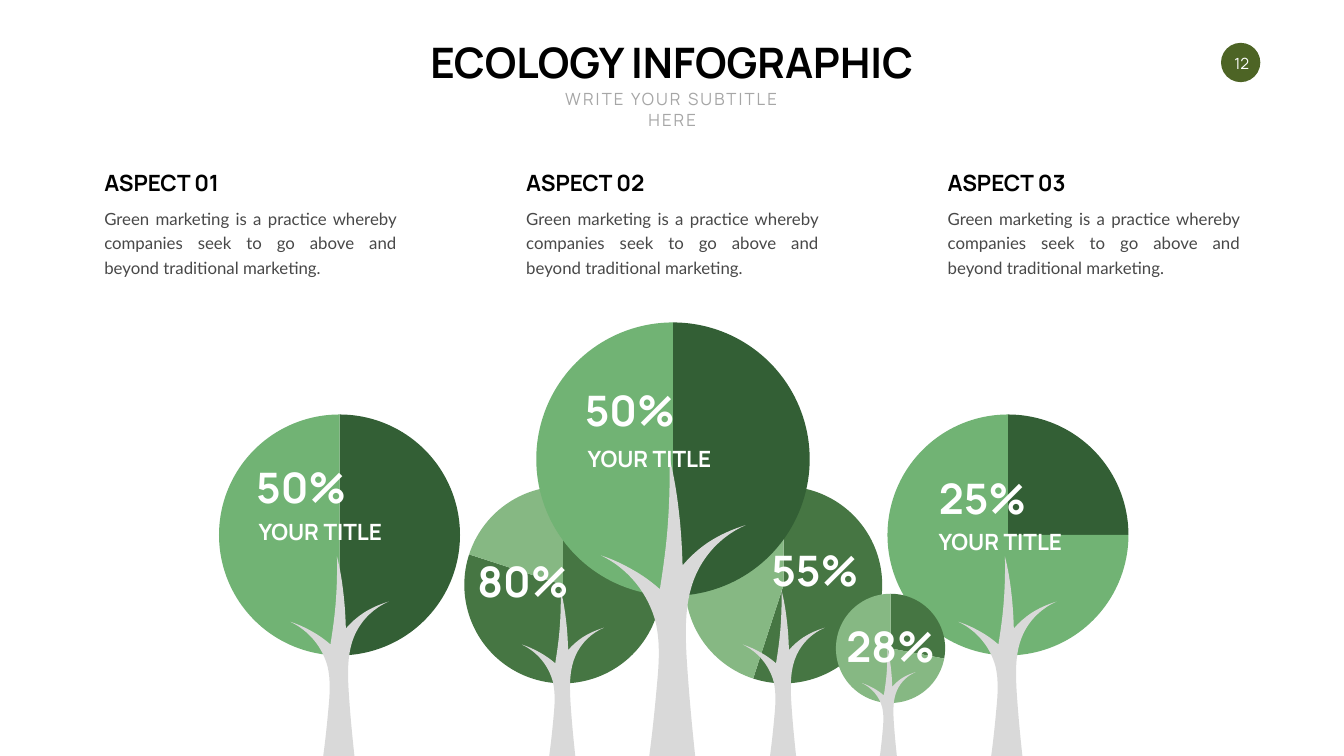
import lxml.etree
import pptx
import pptx.chart.data
import pptx.dml.color
import pptx.enum.chart
import pptx.enum.shapes
import pptx.enum.text
import pptx.oxml.ns
import pptx.util

SCALE = 9144  # EMU per px, 100 px to the inch
SLIDE_WIDTH, SLIDE_HEIGHT = 2666, 1500

COLORS = {
    "black": "000000",
    "white": "FFFFFF",
    "subtitle": "A6A6A6",
    "body": "484848",
    "badge": "4D6425",
    "trunk": "D9D9D9",
    "front_dark": "335F35",
    "front_light": "71B374",
    "back_dark": "467643",
    "back_light": "86B883",
}
FRONT = ("front_dark", "front_light")
BACK = ("back_dark", "back_light")

# Crown left, top, size; trunk left, top, width; shares; colours; back to front
TREES = [
    ((1357, 963, 395), (1473, 1171, 163), (55, 45), BACK),
    ((919, 963, 395), (1035, 1171, 163), (80, 20), BACK),
    ((432, 820, 483), (576, 1104, 195), (50, 50), FRONT),
    ((1061, 637, 548), (1192, 908, 287), (50, 50), FRONT),
    ((1758, 820, 483), (1901, 1104, 195), (25, 75), FRONT),
    ((1657, 1177, 219), (1710, 1285, 106), (28, 72), BACK),
]
PERCENTS = [
    ("50%", 496, 911, 203),
    ("50%", 1148, 757, 203),
    ("25%", 1851, 932, 196),
    ("55%", 1515, 1075, 203),
    ("80%", 936, 1096, 203),
    ("28%", 1669, 1226, 196),
]
TREE_TITLES = [(1156, 877), (503, 1022), (1852, 1043)]
ASPECT_LEFTS = [197, 1034, 1870]
ASPECT_TEXT = ("Green marketing is a practice whereby companies seek to go "
               "above and beyond traditional marketing.")

# Trunk outline: start point, then Bezier curves (two controls and an end)
TRUNK_WIDTH, TRUNK_HEIGHT = 287, 592
TRUNK_TIP = (136, 0)
TRUNK_LEFT_SIDE = [
    ((137, 43), (136, 86), (133, 129)),
    ((130, 173), (124, 217), (117, 261)),
    ((100, 246), (82, 233), (64, 223)),
    ((43, 211), (22, 201), (0, 194)),
    ((54, 220), (94, 269), (109, 328)),
    ((118, 369), (115, 411), (111, 453)),
    ((107, 499), (102, 546), (96, 592)),
]
TRUNK_BASE = [((187, 592),)]
TRUNK_RIGHT_SIDE = [
    ((180, 526), (174, 461), (170, 396)),
    ((167, 340), (166, 282), (189, 231)),
    ((209, 187), (244, 153), (287, 134)),
    ((261, 142), (236, 153), (213, 168)),
    ((194, 181), (177, 196), (162, 214)),
    ((161, 179), (159, 144), (155, 110)),
    ((151, 73), (145, 36), TRUNK_TIP),
]
TRUNK_OUTLINE = TRUNK_LEFT_SIDE + TRUNK_BASE + TRUNK_RIGHT_SIDE

ALIGN = pptx.enum.text.PP_ALIGN
ANCHOR = pptx.enum.text.MSO_ANCHOR
qn = pptx.oxml.ns.qn


def emu(px):
    return pptx.util.Emu(round(px * SCALE))


def rgb(name):
    return pptx.dml.color.RGBColor.from_string(COLORS[name])


def set_font(font, size, color, name="Manrope", bold=False):
    font.size = pptx.util.Pt(size)
    font.name = name
    font.bold = bold
    font.color.rgb = rgb(color)


def set_fill(shape, color):
    shape.shadow.inherit = False
    shape.fill.solid()
    shape.fill.fore_color.rgb = rgb(color)
    shape.line.fill.background()


def add_text(slide, text, box, size, color, name="Manrope", bold=True,
             align=ALIGN.LEFT, anchor=ANCHOR.MIDDLE, wrap=False):
    shape = slide.shapes.add_textbox(*map(emu, box))
    frame = shape.text_frame
    frame.word_wrap = wrap
    frame.auto_size = pptx.enum.text.MSO_AUTO_SIZE.SHAPE_TO_FIT_TEXT
    frame.vertical_anchor = anchor
    paragraph = frame.paragraphs[0]
    paragraph.text = text
    paragraph.alignment = align
    set_font(paragraph.font, size, color, name, bold)
    return paragraph


def add_badge(slide, text):
    shape = slide.shapes.add_shape(pptx.enum.shapes.MSO_SHAPE.OVAL,
                                   emu(2422), emu(85), emu(78), emu(78))
    set_fill(shape, "badge")
    frame = shape.text_frame
    frame.margin_left = frame.margin_top = emu(9)
    frame.margin_right = frame.margin_bottom = emu(5)
    frame.vertical_anchor = ANCHOR.MIDDLE
    paragraph = frame.paragraphs[0]
    paragraph.text = text
    paragraph.alignment = ALIGN.CENTER
    set_font(paragraph.font, 22, "white")


def fill_plot(chart):
    """Let the pie take up nearly the whole chart frame."""
    plot_area = chart._chartSpace.chart.plotArea
    for layout in plot_area.findall(qn("c:layout")):
        plot_area.remove(layout)
    settings = {"layoutTarget": "inner", "xMode": "edge", "yMode": "edge",
                "x": 0.005, "y": 0.005, "w": 0.99, "h": 0.99}
    layout = lxml.etree.Element(qn("c:layout"))
    manual = lxml.etree.SubElement(layout, qn("c:manualLayout"))
    for tag, value in settings.items():
        lxml.etree.SubElement(manual, qn(f"c:{tag}")).set("val", str(value))
    plot_area.insert(0, layout)


def add_crown(slide, left, top, size, shares, colors):
    data = pptx.chart.data.CategoryChartData()
    data.categories = ["1", "2"]
    data.add_series("Series 1", shares)
    chart = slide.shapes.add_chart(
        pptx.enum.chart.XL_CHART_TYPE.PIE,
        emu(left), emu(top), emu(size), emu(size), data).chart
    chart.has_legend = False
    chart.has_title = False
    set_font(chart.font, 10, "body", "Calibri")
    plot = chart.plots[0]
    plot.vary_by_categories = True
    for index, color in enumerate(colors):
        point = plot.series[0].points[index]
        point.format.fill.solid()
        point.format.fill.fore_color.rgb = rgb(color)
        point.format.line.fill.background()
    fill_plot(chart)


def add_trunk(slide, left, top, width):
    x_scale = width / TRUNK_WIDTH
    y_scale = (SLIDE_HEIGHT - top) / TRUNK_HEIGHT

    def place(point):
        return emu(left + point[0] * x_scale), emu(top + point[1] * y_scale)

    builder = slide.shapes.build_freeform(*place(TRUNK_TIP))
    builder.add_line_segments([place(part[-1]) for part in TRUNK_OUTLINE])
    shape = builder.convert_to_shape()
    set_fill(shape, "trunk")

    # Bend the straight segments into Bezier curves
    segments = list(shape._element.iter(qn("a:lnTo")))
    for segment, part in zip(segments, TRUNK_OUTLINE):
        if len(part) == 1:
            continue
        curve = lxml.etree.Element(qn("a:cubicBezTo"))
        for point in part:
            x, y = place(point)
            node = lxml.etree.SubElement(curve, qn("a:pt"))
            node.set("x", str(x - shape.left))
            node.set("y", str(y - shape.top))
        segment.getparent().replace(segment, curve)


def main():
    presentation = pptx.Presentation()
    presentation.slide_width = emu(SLIDE_WIDTH)
    presentation.slide_height = emu(SLIDE_HEIGHT)
    slide = presentation.slides.add_slide(presentation.slide_layouts[6])

    # Page number and trees
    add_badge(slide, "12")
    for crown, trunk, shares, colors in TREES:
        add_crown(slide, *crown, shares, colors)
        add_trunk(slide, *trunk)

    # Heading
    add_text(slide, "ECOLOGY INFOGRAPHIC", (820, 67, 1025, 111), 60, "black",
             align=ALIGN.CENTER, anchor=ANCHOR.TOP)
    subtitle = add_text(slide, "WRITE YOUR SUBTITLE HERE", (1062, 172, 543, 50),
                        24, "subtitle", bold=False, align=ALIGN.CENTER,
                        anchor=ANCHOR.TOP, wrap=True)
    subtitle.runs[0]._r.get_or_add_rPr().set("spc", "300")

    # Tree labels
    for text, left, top, width in PERCENTS:
        add_text(slide, text, (left, top, width, 111), 60, "white",
                 align=ALIGN.CENTER)
    for left, top in TREE_TITLES:
        add_text(slide, "YOUR TITLE", (left, top, 277, 64), 32, "white")

    # Aspects
    for number, left in enumerate(ASPECT_LEFTS, 1):
        add_text(slide, f"ASPECT {number:02}", (left, 330, 258, 64), 32, "black")
        body = add_text(slide, ASPECT_TEXT, (left, 400, 599, 152), 24, "body",
                        "Lato", False, ALIGN.JUSTIFY, ANCHOR.TOP, True)
        body.line_spacing = pptx.util.Pt(35)

    presentation.save("out.pptx")


if __name__ == "__main__":
    main()
